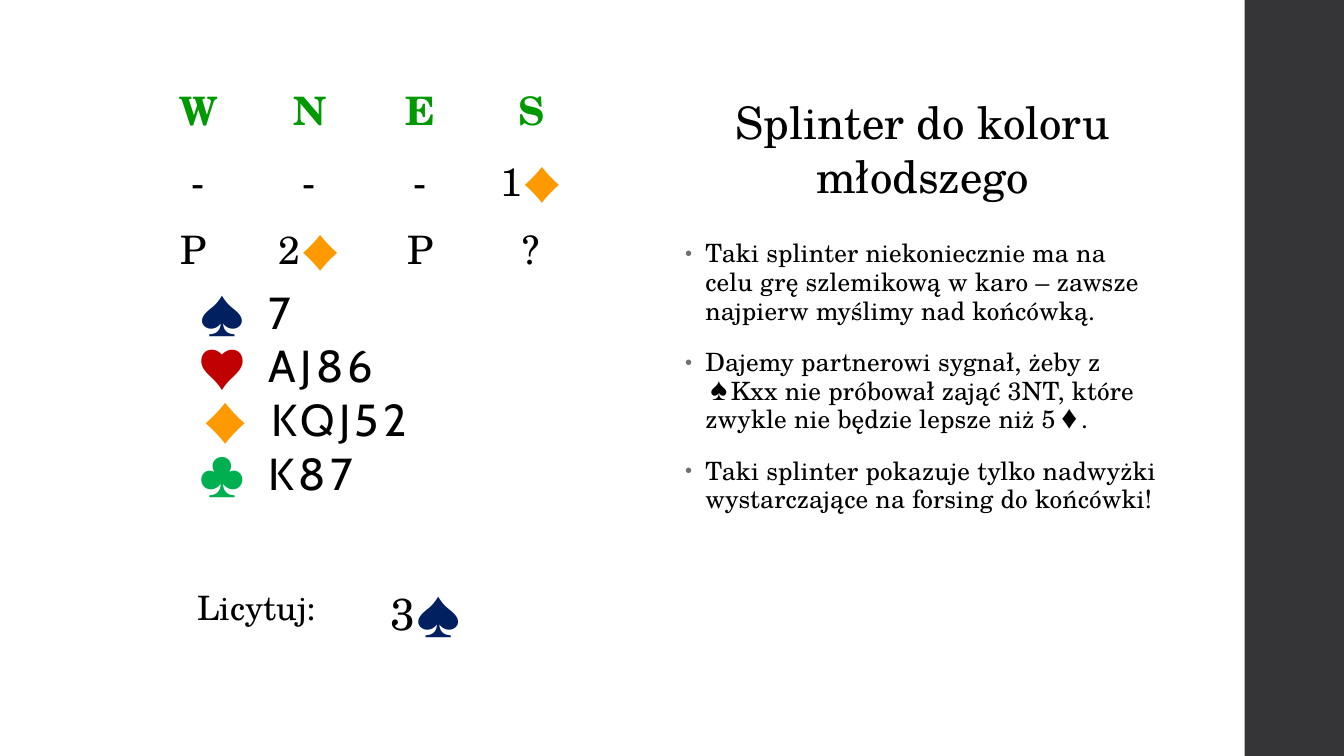
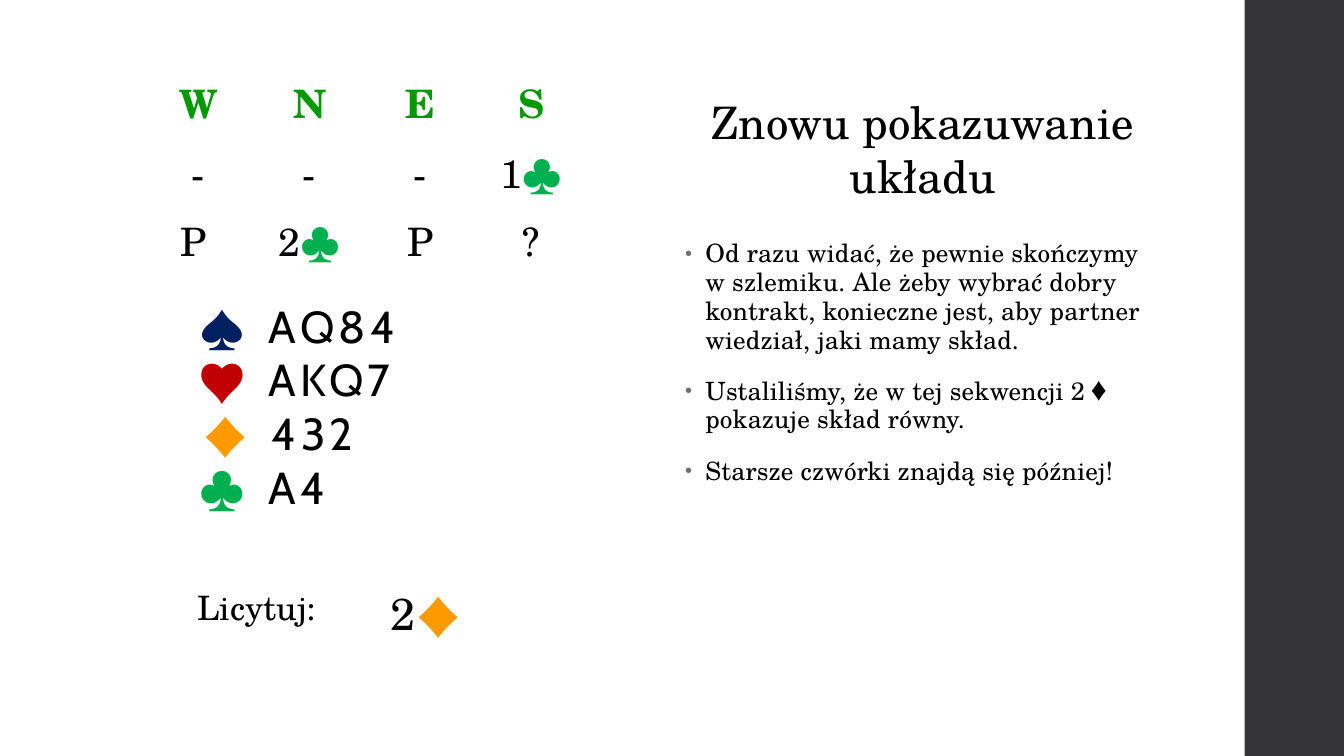
import pptx
import pptx.util
import pptx.dml.color
import pptx.enum.shapes
import pptx.enum.text
import pptx.oxml.ns
from lxml import etree

Pt = pptx.util.Pt
ALIGN = pptx.enum.text.PP_ALIGN
MIDDLE = pptx.enum.text.MSO_ANCHOR.MIDDLE

SERIF, SANS = "TeX Gyre Schola", "Cabin"
COLORS = {
    "text": "000000", "band": "353537", "bullet": "6F6F74", "header": "009900",
    "♠": "002060", "♥": "C00000", "♦": "FF9900", "♣": "00B050",
}
SUITS = "♠♥♦♣"
SEATS = ["W", "N", "E", "S"]

SLIDES = [
    {
        "title": "Splinter do koloru młodszego",
        "bidding": [["-", "-", "-", "1♦"], ["P ", "2♦", "P", "?"]],
        "bidding_top": 53.3,
        "hand": ["7", "AJ86", "KQJ52", "K87"],
        "hand_top": 199.5,
        "answer": "3♠",
        "notes": [
            "Taki splinter niekoniecznie ma na celu grę szlemikową w karo – zawsze najpierw myślimy nad końcówką.",
            "Dajemy partnerowi sygnał, żeby z ♠Kxx nie próbował zająć 3NT, które zwykle nie będzie lepsze niż 5♦.",
            "Taki splinter pokazuje tylko nadwyżki wystarczające na forsing do końcówki!",
        ],
    },
    {
        "title": "Znowu pokazuwanie układu",
        "bidding": [["-", "-", "-", "1♣"], ["P ", "2♣", "P", "?"]],
        "bidding_top": 48.2,
        "hand": ["AQ84", "AKQ7", "432", "A4"],
        "hand_top": 209.5,
        "answer": "2♦",
        "notes": [
            "Od razu widać, że pewnie skończymy w szlemiku. Ale żeby wybrać dobry kontrakt, konieczne jest, aby partner wiedział, jaki mamy skład.",
            "Ustaliliśmy, że w tej sekwencji 2♦ pokazuje skład równy.",
            "Starsze czwórki znajdą się później!",
        ],
    },
]


def rgb(name):
    return pptx.dml.color.RGBColor.from_string(COLORS[name])


def add_run(p, text, size, font=SERIF, color="text", bold=False, spacing=0):
    r = p.add_run()
    r.text = text
    r.font.size = Pt(size)
    r.font.name = font
    r.font.bold = bold
    r.font.color.rgb = rgb(color)
    if spacing:
        r.font._element.set("spc", str(round(spacing * 100)))


def add_bid(p, bid, size, **style):
    """Write a bid, giving its suit symbol the suit's own colour."""
    level = bid.rstrip(SUITS)
    add_run(p, level, size, **style)
    if level != bid:
        suit = bid[len(level):]
        add_run(p, suit, size, SANS, suit, spacing=3)


def add_child(parent, tag, **attributes):
    return etree.SubElement(parent, pptx.oxml.ns.qn(tag), attributes)


def add_text_frame(slide, left, top, width, height):
    tf = slide.shapes.add_textbox(Pt(left), Pt(top), Pt(width), Pt(height)).text_frame
    tf.word_wrap = True
    return tf


def paragraphs(tf, items):
    """Pair each item with a paragraph of its own."""
    for i, item in enumerate(items):
        yield (tf.add_paragraph() if i else tf.paragraphs[0]), item


def add_plain_table(slide, left, top, widths, heights):
    table = slide.shapes.add_table(len(heights), len(widths), Pt(left), Pt(top),
                                   Pt(sum(widths)), Pt(sum(heights))).table
    table.first_row = table.horz_banding = False
    for column, width in zip(table.columns, widths):
        column.width = Pt(width)
    for row, height in zip(table.rows, heights):
        row.height = Pt(height)
    for cell in table.iter_cells():
        cell.fill.background()
        cell.vertical_anchor = MIDDLE
    return table


def add_band(slide):
    sp = slide.shapes.add_shape(pptx.enum.shapes.MSO_SHAPE.RECTANGLE,
                                Pt(889), Pt(0), Pt(71), Pt(540))
    sp.shadow.inherit = False
    sp.fill.solid()
    sp.fill.fore_color.rgb = rgb("band")
    sp.line.fill.background()


def add_title(slide, title):
    tf = add_text_frame(slide, 482.4, 63.4, 353.5, 85)
    tf.vertical_anchor = MIDDLE
    p = tf.paragraphs[0]
    p.alignment = ALIGN.CENTER
    add_run(p, title, 32)


def add_bidding(slide, bidding, top):
    table = add_plain_table(slide, 102.2, top, [79.2] * len(SEATS), [51, 49, 48])
    for i, row in enumerate([SEATS] + bidding):
        style = {} if i else {"color": "header", "bold": True}
        for j, bid in enumerate(row):
            p = table.cell(i, j).text_frame.paragraphs[0]
            p.alignment = ALIGN.CENTER
            add_bid(p, bid, 28, **style)


def add_hand(slide, hand, top):
    tf = add_text_frame(slide, 134.6, top, 251.3, 162.7)
    for p, (suit, cards) in paragraphs(tf, zip(SUITS, hand)):
        props = p._p.get_or_add_pPr()
        if suit == "♦":
            props.set("marL", str(Pt(2.2)))
        tabs = add_child(props, "a:tabLst")
        for position, side in ((36, "r"), (50.4, "l")):
            add_child(tabs, "a:tab", pos=str(Pt(position)), algn=side)
        add_run(p, "\t", 28, SANS, spacing=3)
        add_run(p, suit + "\t", 32, SANS, suit, spacing=3)
        add_run(p, cards, 32, SANS, spacing=3)


def add_answer(slide, answer):
    table = add_plain_table(slide, 95, 410.4, [177, 114], [47])
    p = table.cell(0, 0).text_frame.paragraphs[0]
    p.alignment = ALIGN.CENTER
    add_run(p, "Licytuj:", 24)
    add_bid(table.cell(0, 1).text_frame.paragraphs[0], answer, 32)


def add_notes(slide, notes):
    tf = add_text_frame(slide, 482.4, 167.8, 352.8, 324.7)
    for p, note in paragraphs(tf, notes):
        p.line_spacing = 0.95
        p.space_before, p.space_after = Pt(14), Pt(2)
        props = p._p.get_or_add_pPr()
        props.set("marL", str(Pt(14.4)))
        props.set("indent", str(Pt(-14.4)))
        add_child(add_child(props, "a:buClr"), "a:srgbClr", val=COLORS["bullet"])
        add_child(props, "a:buSzPct", val="80000")
        add_child(props, "a:buFont", typeface="Arial")
        add_child(props, "a:buChar", char="•")
        add_run(p, note, 18, spacing=0.1)


def main():
    prs = pptx.Presentation()
    prs.slide_width, prs.slide_height = Pt(960), Pt(540)
    for content in SLIDES:
        slide = prs.slides.add_slide(prs.slide_layouts[6])
        add_band(slide)
        add_bidding(slide, content["bidding"], content["bidding_top"])
        add_notes(slide, content["notes"])
        add_hand(slide, content["hand"], content["hand_top"])
        add_title(slide, content["title"])
        add_answer(slide, content["answer"])
    prs.save("out.pptx")


if __name__ == "__main__":
    main()
